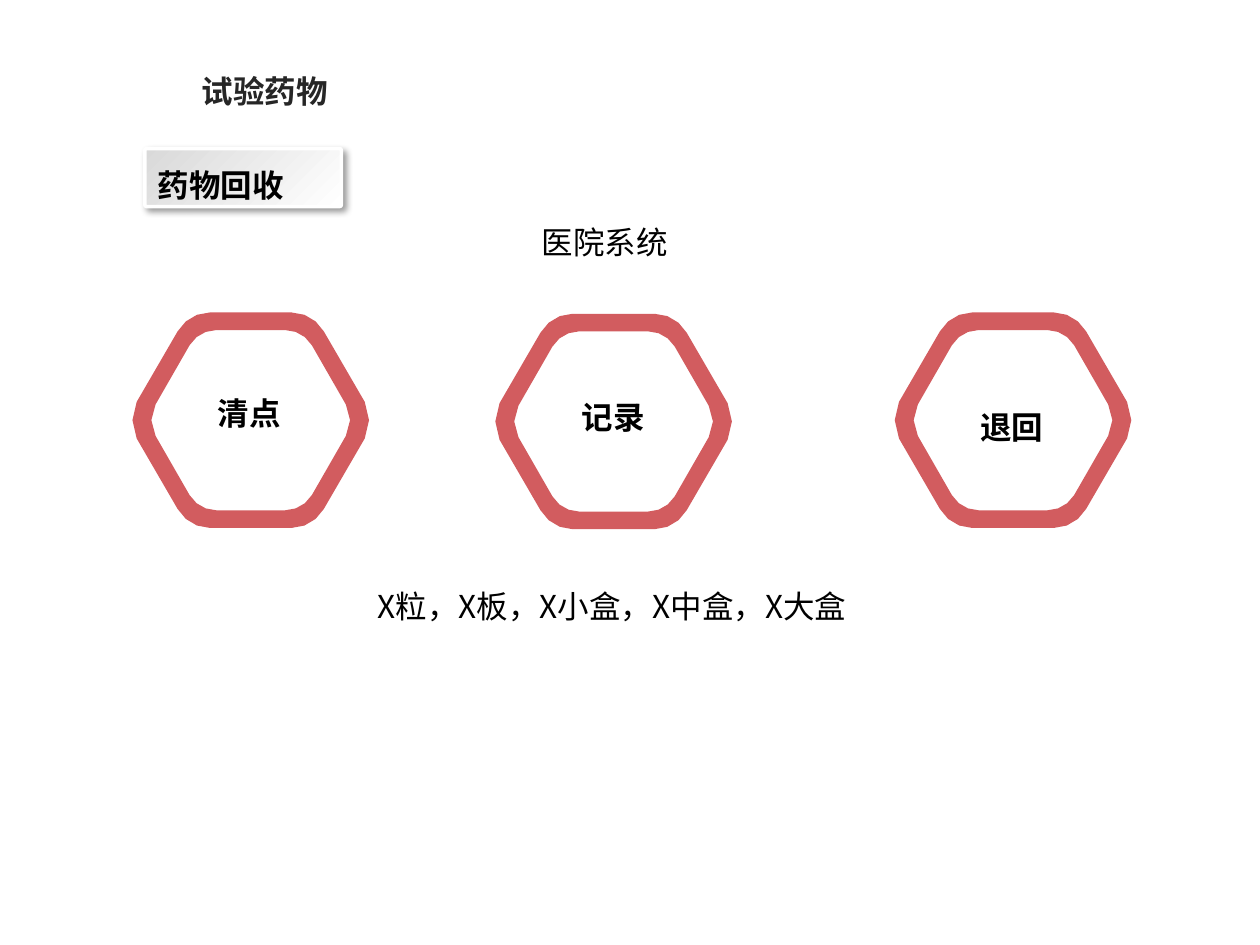
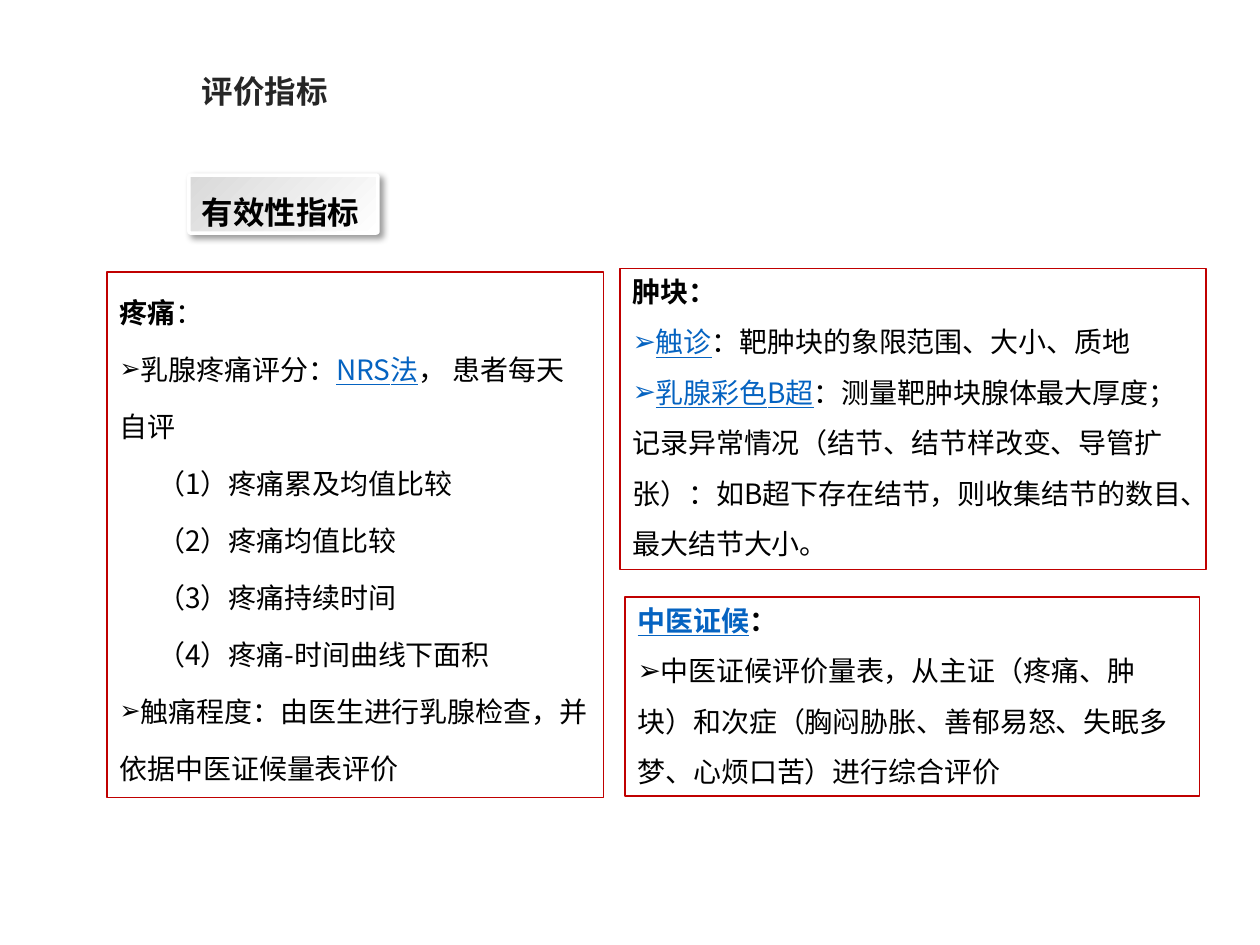
"""Build two clinical trial slides: returned drugs and efficacy indicators."""
import pptx
import pptx.dml.color
import pptx.enum.shapes
import pptx.enum.text
import pptx.oxml
import pptx.util
from pptx.util import Inches

RGBColor = pptx.dml.color.RGBColor
BLACK = RGBColor(0x00, 0x00, 0x00)
WHITE = RGBColor(0xFF, 0xFF, 0xFF)
TITLE = RGBColor(0x26, 0x26, 0x26)
GREY = RGBColor(0xD9, 0xD9, 0xD9)
RED = RGBColor(0xC0, 0x00, 0x00)
CORAL = RGBColor(0xD2, 0x5C, 0x5F)
LINK = RGBColor(0x05, 0x63, 0xC1)
FONT = "Noto Sans CJK SC"
A = 'xmlns:a="http://schemas.openxmlformats.org/drawingml/2006/main"'
SHADOW = (f'<a:effectLst {A}><a:outerShdw blurRad="50800" dist="38100" dir="2700000" algn="tl">'
          '<a:srgbClr val="000000"><a:alpha val="40000"/></a:srgbClr></a:outerShdw></a:effectLst>')


def write(tf, *runs, size=18, color=BLACK, spacing=1.0, bullet=None, indent=0, wrap=True):
    """Add a paragraph of (text, style) runs; style letters are b for bold and u for link."""
    tf.word_wrap = wrap
    tf.auto_size = pptx.enum.text.MSO_AUTO_SIZE.NONE
    p = tf.paragraphs[0] if not tf.text else tf.add_paragraph()
    p.alignment = pptx.enum.text.PP_ALIGN.LEFT
    p.line_spacing = spacing
    p.space_before = p.space_after = pptx.util.Pt(0)
    pPr = p._p.get_or_add_pPr()
    pPr.set("marL", str(Inches(indent)))
    pPr.set("indent", "0")
    if bullet:
        pPr.append(pptx.oxml.parse_xml(f'<a:buSzPct {A} val="{bullet * 1000}"/>'))
        pPr.append(pptx.oxml.parse_xml(f'<a:buChar {A} char="➢"/>'))
    else:
        pPr.append(pptx.oxml.parse_xml(f'<a:buNone {A}/>'))
    for text, style in runs:
        r = p.add_run()
        r.text = text
        r.font.name = FONT
        r.font.size = pptx.util.Pt(size)
        r.font.bold = "b" in style
        r.font.underline = "u" in style
        r.font.color.rgb = LINK if "u" in style else color
        r._r.get_or_add_rPr().append(pptx.oxml.parse_xml(f'<a:ea {A} typeface="{FONT}"/>'))


def hexagon(corner, side):
    """Return a rounded hexagon outline from the Bezier points of its top right quarter."""
    quarter = []
    for curve, steps in ((corner, (0, 1 / 3, 2 / 3, 1)), (side, (0, 1 / 2))):
        for t in steps:
            weights = ((1 - t) ** 3, 3 * t * (1 - t) ** 2, 3 * t * t * (1 - t), t ** 3)
            quarter.append(tuple(sum(w * pt[i] for w, pt in zip(weights, curve)) for i in (0, 1)))
    right = quarter + [(x, -y) for x, y in reversed(quarter[:-1])]
    return right + [(-x, -y) for x, y in right]


prs = pptx.Presentation()
prs.slide_width, prs.slide_height = Inches(10), Inches(7.5)

slides = []
for layout, title, tag, left, top, width in (
        (5, "试验药物", "药物回收", 1.15, 1.18, 1.56),
        (4, "评价指标", "有效性指标", 1.5, 1.39, 1.5)):
    s = prs.slides.add_slide(prs.slide_layouts[layout])
    slides.append(s)
    sp = s.shapes.title
    sp.left, sp.top, sp.width, sp.height = map(Inches, (1.5, 0.52, 1.21, 0.4))
    write(sp.text_frame, (title, "b"), color=TITLE, wrap=False)

    sp = s.shapes.add_shape(pptx.enum.shapes.MSO_SHAPE.ROUNDED_RECTANGLE,
                            Inches(left), Inches(top), Inches(width), Inches(0.46))
    sp.adjustments[0] = 0.03
    sp.fill.gradient()
    sp.fill.gradient_angle = 315
    for stop, color in zip(sp.fill.gradient_stops, (GREY, WHITE)):
        stop.color.rgb = color
    sp.line.color.rgb = WHITE
    sp.line.width = pptx.util.Pt(2)
    sp._element.spPr.append(pptx.oxml.parse_xml(SHADOW))
    sp.text_frame.vertical_anchor = pptx.enum.text.MSO_ANCHOR.MIDDLE
    write(sp.text_frame, (tag, "b"), spacing=pptx.util.Pt(30))

drugs, indicators = slides

outer = hexagon([(32.5, -85.5), (43, -85.5), (53, -79.5), (58, -70.5)],
                [(90.5, -14.5), (95, -5.5), (95, 5.5), (90.5, 14.5)])
inner = hexagon([(27.5, -71.5), (36, -71.5), (44, -67), (48.5, -59.5)],
                [(75.5, -12.5), (80, -4.5), (80, 4.5), (75.5, 12.5)])
for x, y in ((199, 333.5), (487, 334.5), (804, 333.5)):
    rings = [[(Inches((x + dx) / 100), Inches((y + dy) / 100)) for dx, dy in ring]
             for ring in (inner, outer)]
    builder = drugs.shapes.build_freeform(*rings[0][0])
    builder.add_line_segments(rings[0][1:], close=True)
    builder.move_to(*rings[1][0])
    builder.add_line_segments(rings[1][1:], close=True)
    sp = builder.convert_to_shape()
    sp.shadow.inherit = False
    sp.fill.solid()
    sp.fill.fore_color.rgb = CORAL
    sp.line.fill.background()

for text, style, left, top, width, height, spacing, wrap in (
        ("清点", "b", 1.63, 3.08, 0.96, 0.4, 1.0, True),
        ("记录", "b", 4.52, 3.11, 0.71, 0.4, 1.0, False),
        ("退回", "b", 7.68, 3.07, 0.71, 0.48, pptx.util.Pt(30), False),
        ("医院系统", "", 4.2, 1.72, 1.21, 0.4, 1.0, False),
        ("X粒，X板，X小盒，X中盒，X大盒", "", 2.9, 4.61, 4.12, 0.4, 1.0, True)):
    sp = drugs.shapes.add_textbox(*map(Inches, (left, top, width, height)))
    write(sp.text_frame, (text, style), spacing=spacing, wrap=wrap)

holders = {sp.placeholder_format.idx: sp for sp in indicators.placeholders}
holders[1]._element.getparent().remove(holders[1]._element)
pain, lump, syndrome = holders[2], holders[4], holders[3]
for sp, box in ((pain, (0.85, 2.16, 3.94, 4.17)),
                (lump, (4.92, 2.13, 4.65, 2.39)),
                (syndrome, (4.96, 4.74, 4.56, 1.58))):
    sp.left, sp.top, sp.width, sp.height = map(Inches, box)
    sp.fill.solid()
    sp.fill.fore_color.rgb = WHITE
    sp.line.color.rgb = RED
    sp.line.width = pptx.util.Pt(1)
    sp.text_frame.vertical_anchor = pptx.enum.text.MSO_ANCHOR.TOP

tf = pain.text_frame
write(tf, ("疼痛", "b"), ("：", ""), size=16, spacing=1.5)
write(tf, ("乳腺疼痛评分：", ""), ("NRS法", "u"), ("， 患者每天自评", ""),
      size=16, spacing=1.7, bullet=90)
for number, measure in enumerate(("疼痛累及均值比较", "疼痛均值比较", "疼痛持续时间", "疼痛-时间曲线下面积"), 1):
    write(tf, (f"（{number}）{measure}", ""), size=16, spacing=1.7, indent=0.3)
write(tf, ("触痛程度：由医生进行乳腺检查，并依据中医证候量表评价", ""), size=16, spacing=1.7, bullet=90)

tf = lump.text_frame
write(tf, ("肿块：", "b"), size=16)
for term, detail in (
        ("触诊", "：靶肿块的象限范围、大小、质地"),
        ("乳腺彩色B超", "：测量靶肿块腺体最大厚度；记录异常情况（结节、结节样改变、导管扩张）："
         "如B超下存在结节，则收集结节的数目、最大结节大小。")):
    write(tf, (term, "u"), (detail, ""), size=16, spacing=1.5, bullet=100)

tf = syndrome.text_frame
write(tf, ("中医证候", "bu"), ("：", "b"), size=16)
write(tf, ("中医证候评价量表，从主证（疼痛、肿块）和次症（胸闷胁胀、善郁易怒、失眠多梦、心烦口苦）进行综合评价", ""),
      size=16, spacing=1.5, bullet=100)

prs.save("out.pptx")
